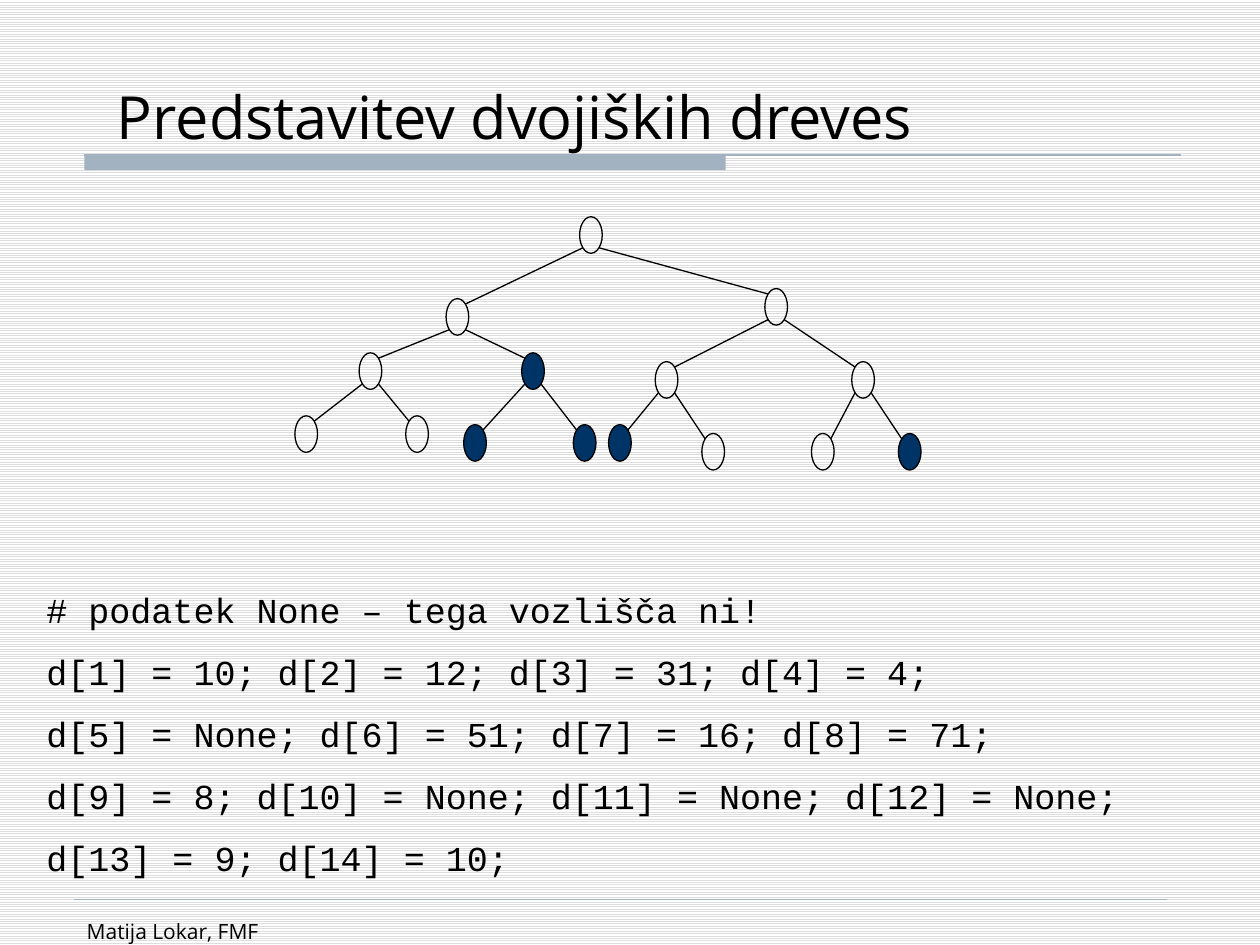
from lxml.etree import SubElement
from pptx import Presentation
from pptx.dml.color import RGBColor
from pptx.enum.dml import MSO_PATTERN
from pptx.enum.shapes import MSO_CONNECTOR, MSO_SHAPE
from pptx.enum.text import MSO_ANCHOR
from pptx.oxml.ns import qn
from pptx.util import Inches, Pt

# Grid of 100 columns by 75 rows
WIDE, HIGH = Inches(10), Inches(7.5)
COL, ROW = WIDE / 100, HIGH / 75

BLACK, STEEL, NAVY = "000000", "A3B2C1", "003366"
SANS, MONO = "Open Sans", "Courier New"

# Nodes in level order: the children of node i are 2i and 2i + 1
NODES = [
    (46, 17.2),
    (35.4, 23.7), (60.7, 22.9),
    (28.5, 28), (41.4, 28), (52, 28.7), (67.6, 28.7),
    (23.4, 33), (32.2, 33), (36.8, 33.7), (45.5, 33.7),
    (48.3, 33.7), (55.7, 34.4), (64.4, 34.4), (71.3, 34.4),
]
EMPTY = {5, 10, 11, 12, 15}
NODE_W, NODE_H = 1.8, 2.9
EDGE = 0.15  # share of a node's box where its diagonal meets the oval

CODE = [
    "# podatek None – tega vozlišča ni!",
    "d[1] = 10; d[2] = 12; d[3] = 31; d[4] = 4;",
    "d[5] = None; d[6] = 51; d[7] = 16; d[8] = 71;",
    "d[9] = 8; d[10] = None; d[11] = None; d[12] = None;",
    "d[13] = 9; d[14] = 10;",
]


def color(code):
    return RGBColor.from_string(code)


def place(*cells):
    return [round(cell * (ROW if i % 2 else COL)) for i, cell in enumerate(cells)]


def assign(target, values):
    for name, value in values.items():
        setattr(target, name, value)


def add_line(slide, start, end, tint=BLACK, weight=0.75):
    line = slide.shapes.add_connector(
        MSO_CONNECTOR.STRAIGHT, *place(*start, *end))
    line.line.color.rgb = color(tint)
    line.line.width = Pt(weight)
    SubElement(line._element.spPr, qn("a:effectLst"))


def add_form(slide, kind, box, fill=None, edge=None):
    form = slide.shapes.add_shape(kind, *place(*box))
    form.shadow.inherit = False
    if fill:
        form.fill.solid()
        form.fill.fore_color.rgb = color(fill)
    else:
        form.fill.background()
    if edge:
        form.line.color.rgb = color(edge)
        form.line.width = Pt(0.75)
    else:
        form.line.fill.background()


def add_text(slide, box, lines, font, size, gap=0, anchor=MSO_ANCHOR.TOP):
    frame = slide.shapes.add_textbox(*place(*box)).text_frame
    assign(frame, {"word_wrap": True, "vertical_anchor": anchor})
    for i, words in enumerate(lines):
        para = frame.add_paragraph() if i else frame.paragraphs[0]
        para.space_before = Pt(gap if i else 0)
        run = para.add_run()
        run.text = words
        assign(run.font, {"name": font, "size": Pt(size)})
        run.font.color.rgb = color(BLACK)


def corner(node, right, low):
    x, y = NODES[node - 1]
    return (x + NODE_W * (1 - EDGE if right else EDGE),
            y + NODE_H * (1 - EDGE if low else EDGE))


def add_tree(slide):
    for node, (x, y) in enumerate(NODES, 1):
        fill = NAVY if node in EMPTY else None
        add_form(slide, MSO_SHAPE.OVAL, (x, y, NODE_W, NODE_H), fill, BLACK)
        if node > 1:
            right = node % 2 == 1
            add_line(slide, corner(node // 2, right, True),
                     corner(node, not right, False))


def add_back(slide):
    fill = slide.background.fill
    fill.patterned()
    fill.pattern = MSO_PATTERN.LIGHT_HORIZONTAL
    fill.fore_color.rgb = color("DDDDDD")
    fill.back_color.rgb = color("FFFFFF")


def main():
    deck = Presentation()
    assign(deck, {"slide_width": WIDE, "slide_height": HIGH})
    slide = deck.slides.add_slide(deck.slide_layouts[6])
    add_back(slide)

    # Title rule and footer
    add_form(slide, MSO_SHAPE.RECTANGLE, (6.7, 12.3, 50.9, 1.2), STEEL)
    add_line(slide, (6.7, 12.3), (93.7, 12.3), STEEL)
    add_line(slide, (5.9, 71.4), (92.6, 71.4), STEEL, 0.25)
    add_text(slide, (5.9, 72.4, 21.7, 5.2), ["Matija Lokar, FMF"], SANS, 12)

    # Title, tree and code
    add_text(slide, (8.3, 0, 85, 12.5), ["Predstavitev dvojiških dreves"],
             SANS, 34, anchor=MSO_ANCHOR.BOTTOM)
    add_tree(slide)
    add_text(slide, (2.7, 46.2, 95, 24.3), CODE, MONO, 20, gap=11.4)

    deck.save("out.pptx")


main()
